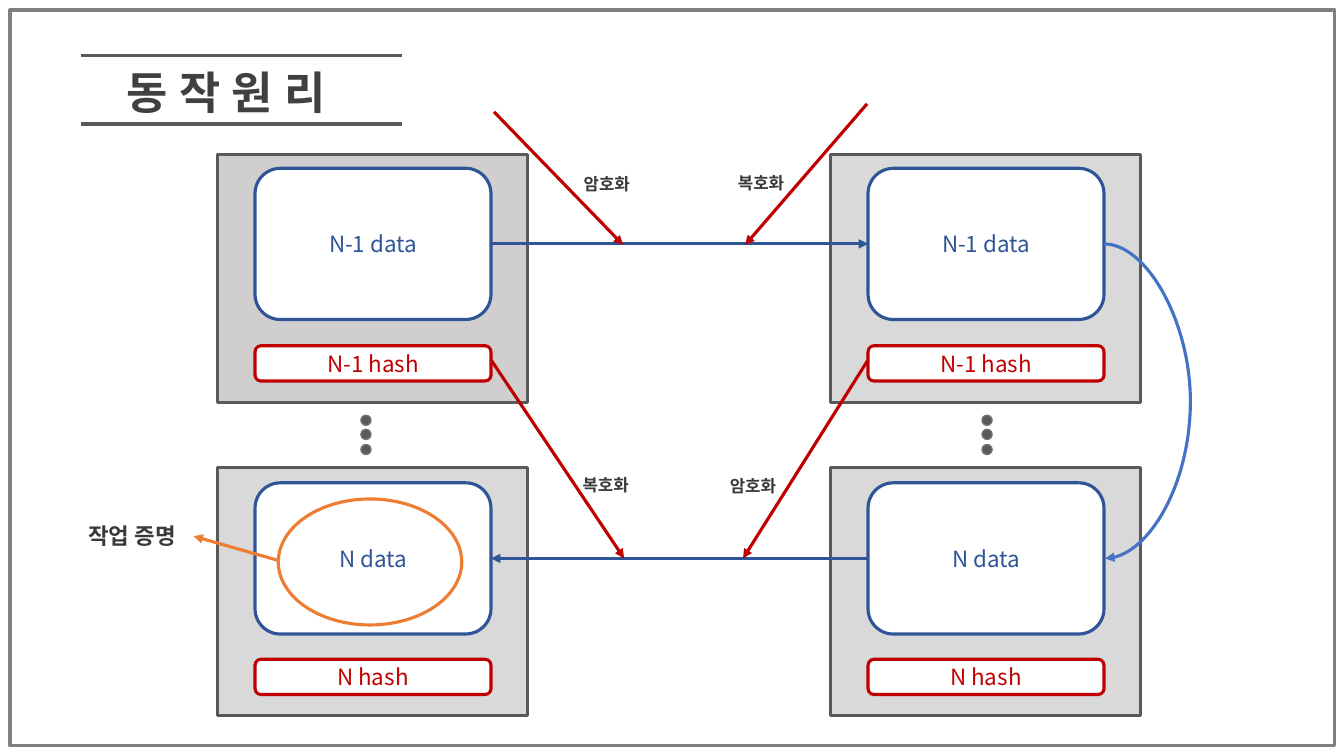
from dataclasses import dataclass
from typing import Optional

import pptx
import pptx.dml.color
import pptx.enum.shapes
import pptx.enum.text
import pptx.oxml.ns
import pptx.util
from lxml import etree

PX = 9144  # 100 px to the inch
SHAPE = pptx.enum.shapes.MSO_SHAPE
CONNECTOR = pptx.enum.shapes.MSO_CONNECTOR
ALIGN = pptx.enum.text.PP_ALIGN


@dataclass(frozen=True)
class Theme:
    white: str = "FFFFFF"
    frame: str = "808080"
    rule: str = "595959"
    panel: str = "D9D9D9"
    first_panel: str = "D0CECE"
    dot_line: str = "767171"
    title: str = "404040"
    label: str = "3B3838"
    data: str = "2F5597"
    hash: str = "C00000"
    curve: str = "4472C4"
    proof: str = "ED7D31"
    title_font: str = "Roboto"
    body_font: str = "Noto Sans CJK KR"
    title_size: int = 32
    body_size: int = 16
    label_size: int = 12
    line: float = 2.25
    dot_width: float = 1


@dataclass(frozen=True)
class Row:
    name: str
    panel_y: int
    data_y: int
    hash_y: int


@dataclass(frozen=True)
class Label:
    text: str
    x: int
    y: int
    h: int = 30
    size: int = Theme.label_size
    align: Optional[ALIGN] = None


@dataclass(frozen=True)
class Line:
    start: tuple[int, int]
    end: tuple[int, int]
    color: str
    arrow: bool = True


T = Theme()
COLUMNS = (216, 824)
ROWS = (Row("N-1", 153, 167, 343), Row("N", 464, 479, 654))
INNER_X, INNER_W = 37, 234
DOT_COLUMNS = (358, 974)
LABELS = (
    Label("암호화", 569, 167),
    Label("복호화", 722, 166),
    Label("복호화", 568, 466),
    Label("암호화", 714, 467),
    Label("작업 증명", 46, 513, 37, T.body_size, ALIGN.CENTER),
)
LINES = (
    Line((80, 55), (399, 55), T.rule, False),
    Line((80, 123), (399, 123), T.rule, False),
    Line((490, 111), (618, 243), T.hash),
    Line((860, 103), (739, 243), T.hash),
    Line((487, 357), (619, 554), T.hash),
    Line((861, 357), (737, 554), T.hash),
    Line((276, 556), (192, 532), T.proof),
)


def rgb(color: str) -> pptx.dml.color.RGBColor:
    return pptx.dml.color.RGBColor.from_string(color)


def add_text(tf, text: str, *, size: int, color: str, font: str = T.body_font,
             bold: bool = False, align: Optional[ALIGN] = None, wrap: bool = True) -> None:
    tf.word_wrap = wrap
    p = tf.paragraphs[0]
    p.alignment = align
    r = p.add_run()
    r.text = text
    r.font.size = pptx.util.Pt(size)
    r.font.bold = bold
    r.font.name = font
    r.font.color.rgb = rgb(color)
    # East Asian typeface for Hangul
    ea = etree.SubElement(r.font._element, pptx.oxml.ns.qn("a:ea"))
    ea.set("typeface", font)


def add_box(s, kind: SHAPE, x: int, y: int, w: int, h: int, line: str,
            fill: Optional[str] = None, width: float = T.line):
    sp = s.shapes.add_shape(kind, x * PX, y * PX, w * PX, h * PX)
    sp.shadow.inherit = False
    if fill:
        sp.fill.solid()
        sp.fill.fore_color.rgb = rgb(fill)
    else:
        sp.fill.background()
    sp.line.color.rgb = rgb(line)
    sp.line.width = pptx.util.Pt(width)
    return sp


def add_node(s, text: str, x: int, y: int, h: int, color: str):
    sp = add_box(s, SHAPE.ROUNDED_RECTANGLE, x, y, INNER_W, h, color, T.white)
    sp.text_frame.vertical_anchor = pptx.enum.text.MSO_ANCHOR.MIDDLE
    add_text(sp.text_frame, text, size=T.body_size, color=color, align=ALIGN.CENTER)
    return sp


def add_line(s, line: Line, kind: CONNECTOR = CONNECTOR.STRAIGHT):
    cxn = s.shapes.add_connector(kind, *(v * PX for v in line.start + line.end))
    cxn.line.color.rgb = rgb(line.color)
    cxn.line.width = pptx.util.Pt(T.line)
    if line.arrow:
        tail = etree.SubElement(cxn.line._get_or_add_ln(), pptx.oxml.ns.qn("a:tailEnd"))
        tail.set("type", "triangle")
    etree.SubElement(cxn._element.spPr, pptx.oxml.ns.qn("a:effectLst"))
    return cxn


def add_label(s, label: Label) -> None:
    tb = s.shapes.add_textbox(label.x * PX, label.y * PX, 170 * PX, label.h * PX)
    add_text(tb.text_frame, label.text, size=label.size, color=T.label,
             bold=True, align=label.align)


def main() -> None:
    prs = pptx.Presentation()
    prs.slide_width, prs.slide_height = 1333 * PX, 750 * PX
    s = prs.slides.add_slide(prs.slide_layouts[6])

    # Frame and title
    add_box(s, SHAPE.RECTANGLE, 10, 10, 1314, 730, T.frame)
    tb = s.shapes.add_textbox(116 * PX, 59 * PX, 247 * PX, 64 * PX)
    add_text(tb.text_frame, "동 작 원 리", size=T.title_size, color=T.title,
             font=T.title_font, bold=True, wrap=False)

    # Four blocks, each with data and hash
    data = {}
    for i, row in enumerate(ROWS):
        for j, x in enumerate(COLUMNS):
            fill = T.first_panel if i == j == 0 else T.panel
            add_box(s, SHAPE.RECTANGLE, x, row.panel_y, 307, 246, T.rule, fill)
            data[i, j] = add_node(s, f"{row.name} data", x + INNER_X, row.data_y, 150, T.data)
            add_node(s, f"{row.name} hash", x + INNER_X, row.hash_y, 35, T.hash)

    # Dots between the rows
    for x in DOT_COLUMNS:
        for k in range(3):
            add_box(s, SHAPE.OVAL, x, 412 + round(14.5 * k), 10, 10,
                    T.dot_line, T.rule, T.dot_width)

    # Data transfers between the columns
    left, right = COLUMNS[0] + INNER_X + INNER_W, COLUMNS[1] + INNER_X
    send = add_line(s, Line((left, 242), (right, 242), T.data))
    send.begin_connect(data[0, 0], 3)
    send.end_connect(data[0, 1], 1)
    reply = add_line(s, Line((right, 554), (left, 554), T.data))
    reply.begin_connect(data[1, 1], 1)
    reply.end_connect(data[1, 0], 3)

    # Curve from N-1 data to N data, bulging 87 px beyond its 1 px width
    curve = add_line(s, Line((1095, 242), (1096, 554), T.curve), CONNECTOR.CURVE)
    geom = curve._element.spPr.find(pptx.oxml.ns.qn("a:prstGeom"))
    guides = geom.find(pptx.oxml.ns.qn("a:avLst"))
    if guides is None:
        guides = etree.SubElement(geom, pptx.oxml.ns.qn("a:avLst"))
    gd = etree.SubElement(guides, pptx.oxml.ns.qn("a:gd"))
    gd.set("name", "adj1")
    gd.set("fmla", f"val {87 * 100000}")

    # Proof of work, arrows and labels
    add_box(s, SHAPE.OVAL, 276, 495, 182, 125, T.proof)
    for line in LINES:
        add_line(s, line)
    for label in LABELS:
        add_label(s, label)

    prs.save("out.pptx")


if __name__ == "__main__":
    main()
